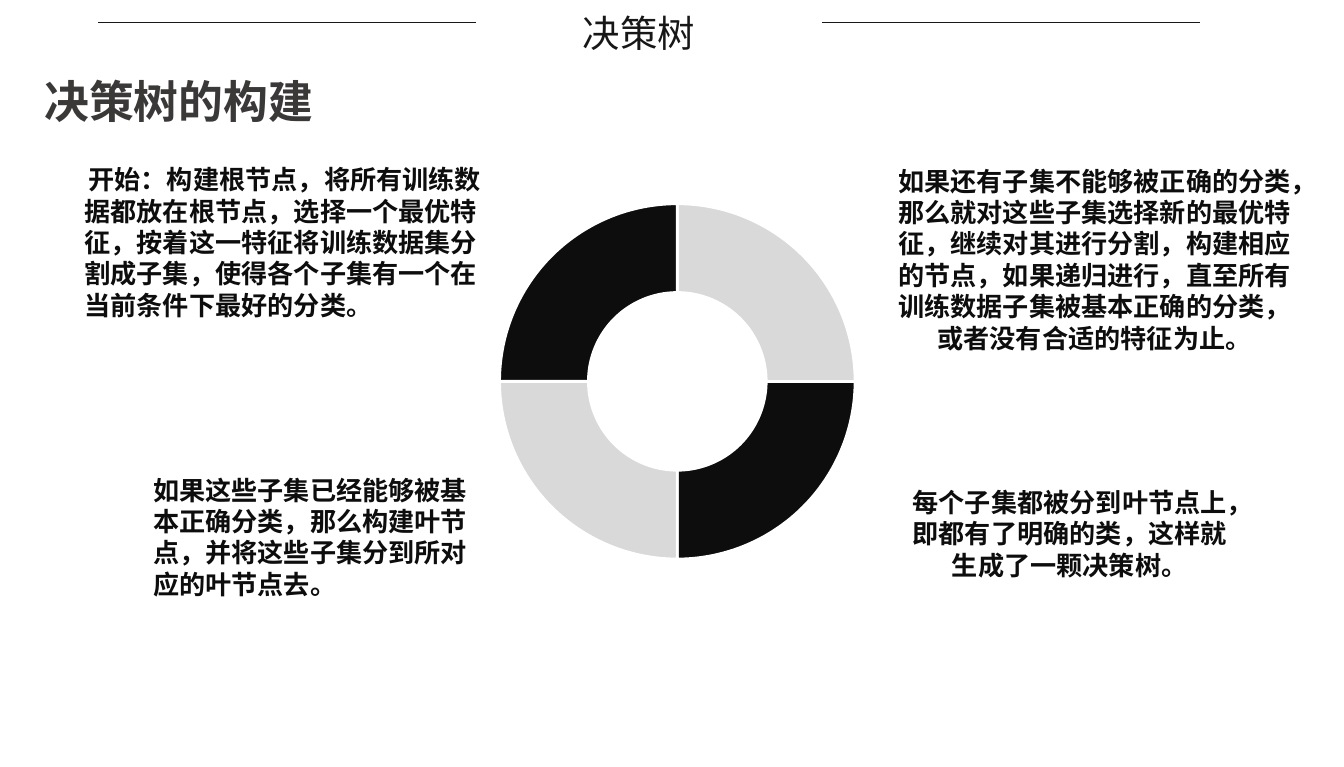
from lxml import etree
from pptx import Presentation
from pptx import util as u
from pptx.chart.data import CategoryChartData
from pptx.dml.color import RGBColor
from pptx.enum import chart as charts, shapes, text
from pptx.oxml.ns import qn

COLORS = {"ink": "181717", "heading": "3B3838", "dark": "0D0D0D",
          "light": "D9D9D9", "white": "FFFFFF"}
BODY = {"size": 14, "bold": True, "color": "dark", "font": "Noto Sans CJK SC"}
HEADER = {"size": 20, "bold": False, "color": "ink", "font": "Noto Sans CJK JP"}
TITLE = {"size": 24, "bold": True, "color": "heading", "font": "Noto Sans CJK JP"}
LEFT, CENTER = text.PP_ALIGN.LEFT, text.PP_ALIGN.CENTER


def color(name):
    return RGBColor.from_string(COLORS[name])


class SlideBuilder:
    def __init__(self, presentation):
        self.slide = presentation.slides.add_slide(presentation.slide_layouts[5])

    def fill_text(self, shape, content, style, align, leading,
                  margins=(0.1, 0.05), wrap=True, indent=0):
        frame = shape.text_frame
        side, edge = (u.Inches(margin) for margin in margins)
        settings = {"word_wrap": wrap, "auto_size": text.MSO_AUTO_SIZE.NONE,
                    "vertical_anchor": text.MSO_ANCHOR.TOP,
                    "margin_left": side, "margin_right": side,
                    "margin_top": edge, "margin_bottom": edge}
        for name, value in settings.items():
            setattr(frame, name, value)
        paragraph = frame.paragraphs[0]
        paragraph_format = {"alignment": align, "space_before": u.Pt(0),
                            "line_spacing": u.Pt(leading)}
        for name, value in paragraph_format.items():
            setattr(paragraph, name, value)
        if indent:
            paragraph._p.get_or_add_pPr().set("indent", str(u.Inches(indent)))
        run = paragraph.add_run()
        run.text = content
        run_format = {"size": u.Pt(style["size"]), "bold": style["bold"], "name": style["font"]}
        for name, value in run_format.items():
            setattr(run.font, name, value)
        run.font.color.rgb = color(style["color"])
        east_asian = etree.SubElement(run._r.get_or_add_rPr(), qn("a:ea"))
        east_asian.set("typeface", style["font"])

    def title(self, content, left, top, width, height):
        shape = self.slide.shapes.title
        box = {"left": left, "top": top, "width": width, "height": height}
        for name, value in box.items():
            setattr(shape, name, u.Inches(value))
        self.fill_text(shape, content, TITLE, CENTER, 34.6, margins=(0, 0))

    def text_box(self, content, box, style, align, **options):
        shape = self.slide.shapes.add_textbox(*map(u.Inches, box))
        self.fill_text(shape, content, style, align, 1.2 * style["size"], **options)

    def rule(self, left, right, top):
        line = self.slide.shapes.add_connector(
            shapes.MSO_CONNECTOR.STRAIGHT, *map(u.Inches, (left, top, right, top)))
        line.line.color.rgb = color("ink")
        line.line.width = u.Pt(0.5)
        etree.SubElement(line._element.spPr, qn("a:effectLst"))

    def doughnut(self, values, fills, box):
        data = CategoryChartData()
        data.categories = [str(number) for number in range(1, len(values) + 1)]
        data.add_series("Series 1", values)
        chart = self.slide.shapes.add_chart(
            charts.XL_CHART_TYPE.DOUGHNUT, *map(u.Inches, box), data).chart
        chart.has_legend = chart.has_title = False
        chart.font.name, chart.font.size = "Calibri", u.Pt(10)
        plot = chart.plots[0]
        plot.vary_by_categories = True
        plot._element.find(qn("c:holeSize")).set("val", "45")
        for index, fill in enumerate(fills):
            point = plot.series[0].points[index].format
            point.fill.solid()
            point.fill.fore_color.rgb = color(fill)
            point.line.color.rgb = color("white")
            point.line.width = u.Pt(1.5)
        self.place_plot(chart, box[2], box[3])

    def place_plot(self, chart, width, height):
        """Centre a square plot that takes 90% of the chart's height."""
        share_y = 0.9
        share_x = share_y * height / width
        plot_area = chart._chartSpace.chart.plotArea
        layout = plot_area.find(qn("c:layout"))
        if layout is None:
            layout = etree.Element(qn("c:layout"))
            plot_area.insert(0, layout)
        manual = etree.SubElement(layout, qn("c:manualLayout"))
        values = {"layoutTarget": "inner", "xMode": "edge", "yMode": "edge",
                  "x": (1 - share_x) / 2, "y": (1 - share_y) / 2,
                  "w": share_x, "h": share_y}
        for name, value in values.items():
            etree.SubElement(manual, qn(f"c:{name}")).set("val", str(value))


def main():
    presentation = Presentation()
    presentation.slide_width = u.Inches(10)
    presentation.slide_height = u.Inches(5.71)
    builder = SlideBuilder(presentation)

    builder.text_box("决策树", (4.24, 0.03, 1.03, 0.44), HEADER, CENTER, wrap=False)
    for left in (0.73, 6.12):
        builder.rule(left, left + 2.81, 0.17)
    builder.title("决策树的构建", 0.32, 0.47, 2.02, 0.48)

    builder.text_box(
        "开始：构建根节点，将所有训练数据都放在根节点，选择一个最优特征，"
        "按着这一特征将训练数据集分割成子集，使得各个子集有一个在当前条件下最好的分类。",
        (0.53, 1.17, 3.22, 1.53), BODY, LEFT, indent=0.03)
    builder.text_box(
        "如果这些子集已经能够被基本正确分类，那么构建叶节点，并将这些子集分到所对应的叶节点去。",
        (1.04, 3.48, 2.71, 1.29), BODY, LEFT)
    builder.text_box(
        "如果还有子集不能够被正确的分类，那么就对这些子集选择新的最优特征，继续对其进行分割，"
        "构建相应的节点，如果递归进行，直至所有训练数据子集被基本正确的分类，或者没有合适的特征为止。",
        (6.55, 1.18, 3.19, 1.51), BODY, CENTER)
    builder.text_box(
        "每个子集都被分到叶节点上，即都有了明确的类，这样就生成了一颗决策树。",
        (6.69, 3.57, 2.54, 0.81), BODY, CENTER)

    builder.doughnut([25] * 4, ["light", "dark"] * 2, (2.69, 1.37, 4.7, 2.94))
    presentation.save("out.pptx")


if __name__ == "__main__":
    main()
